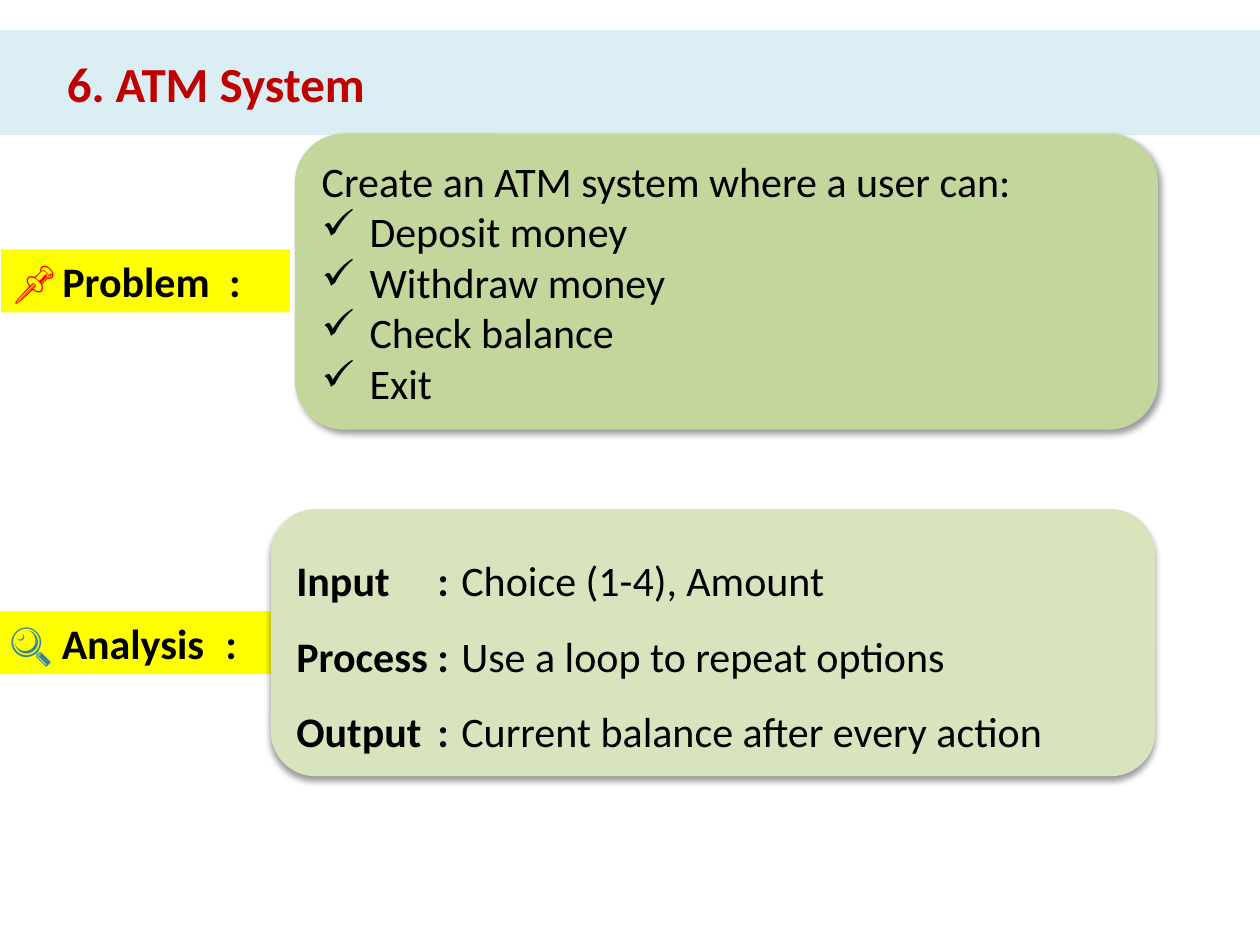
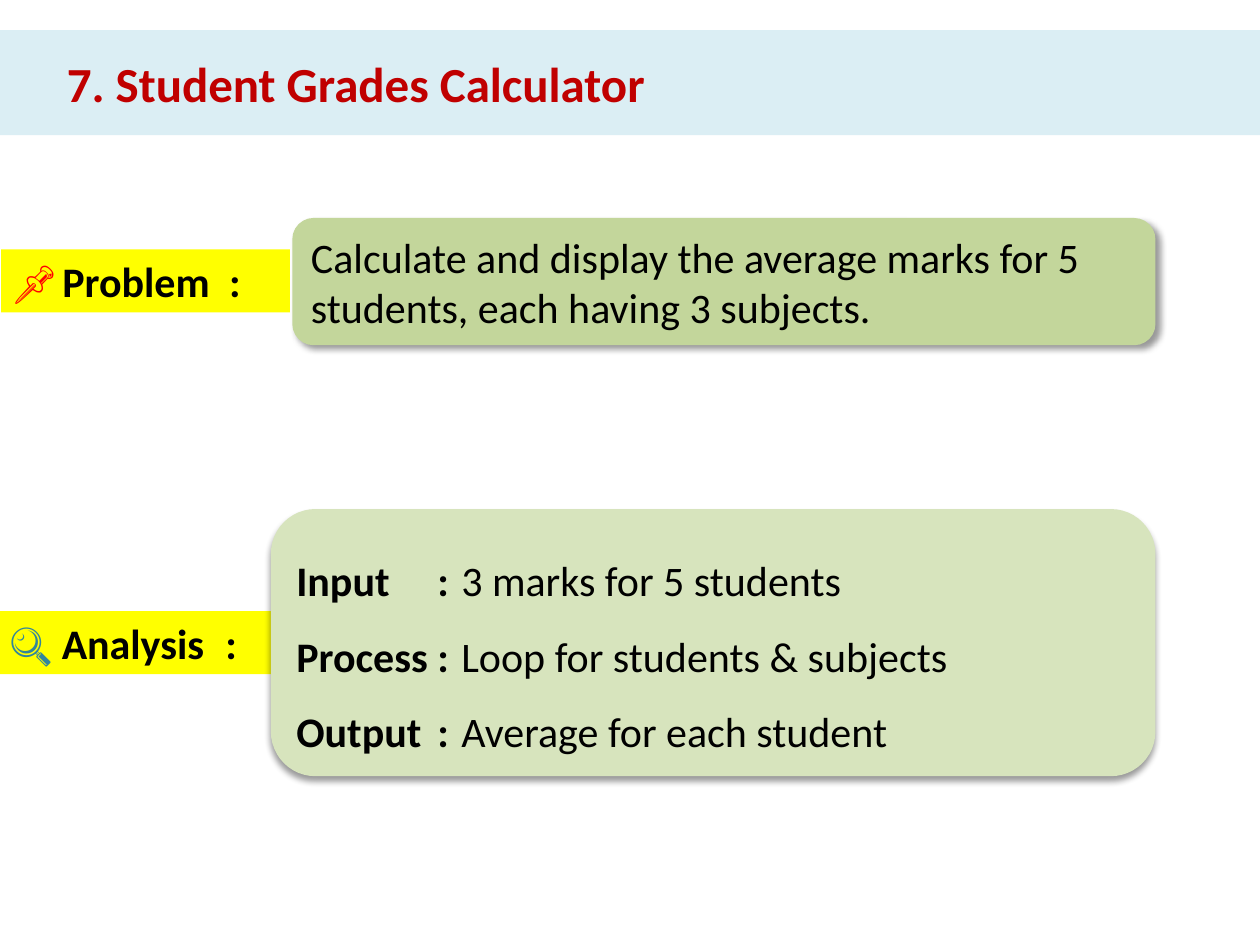
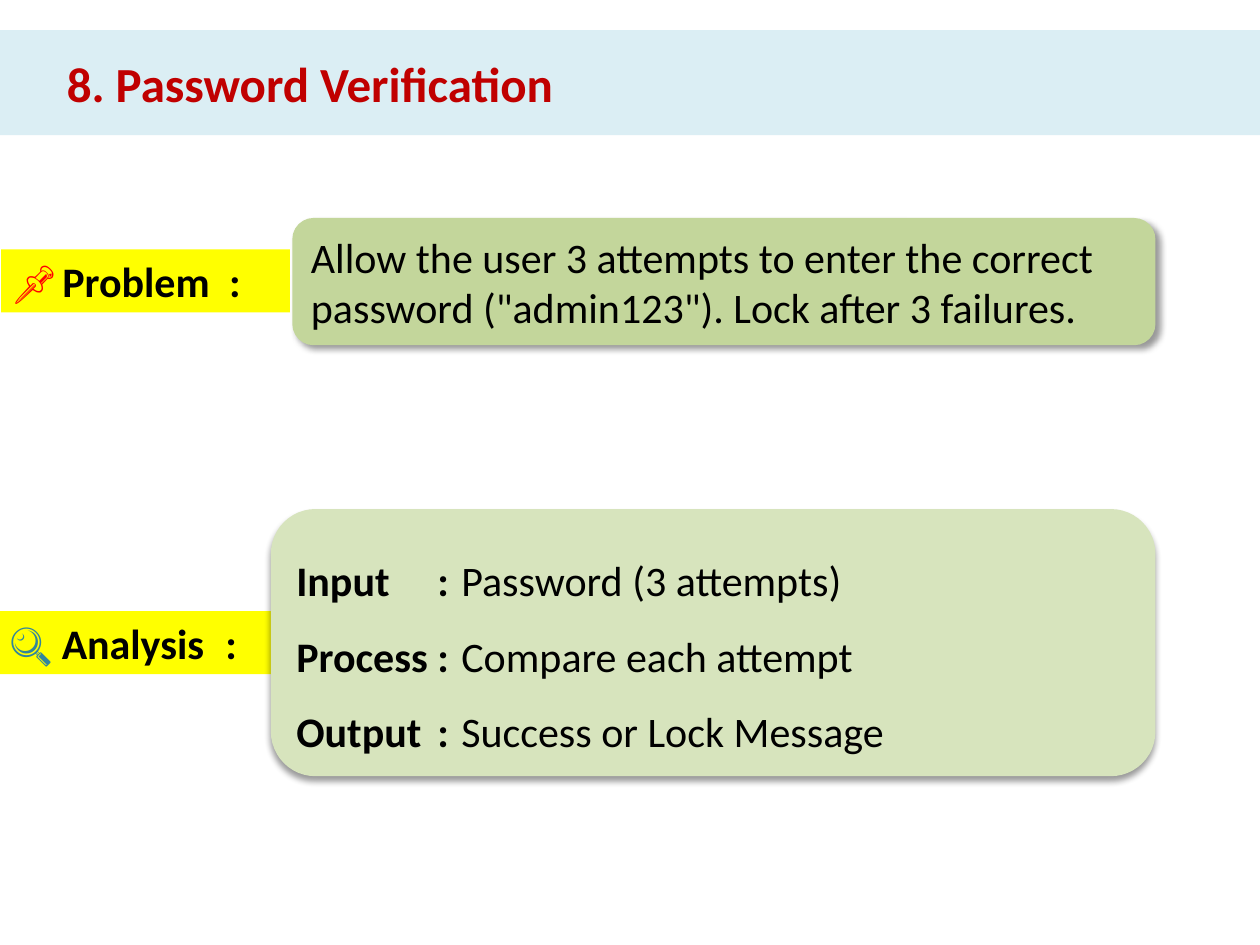
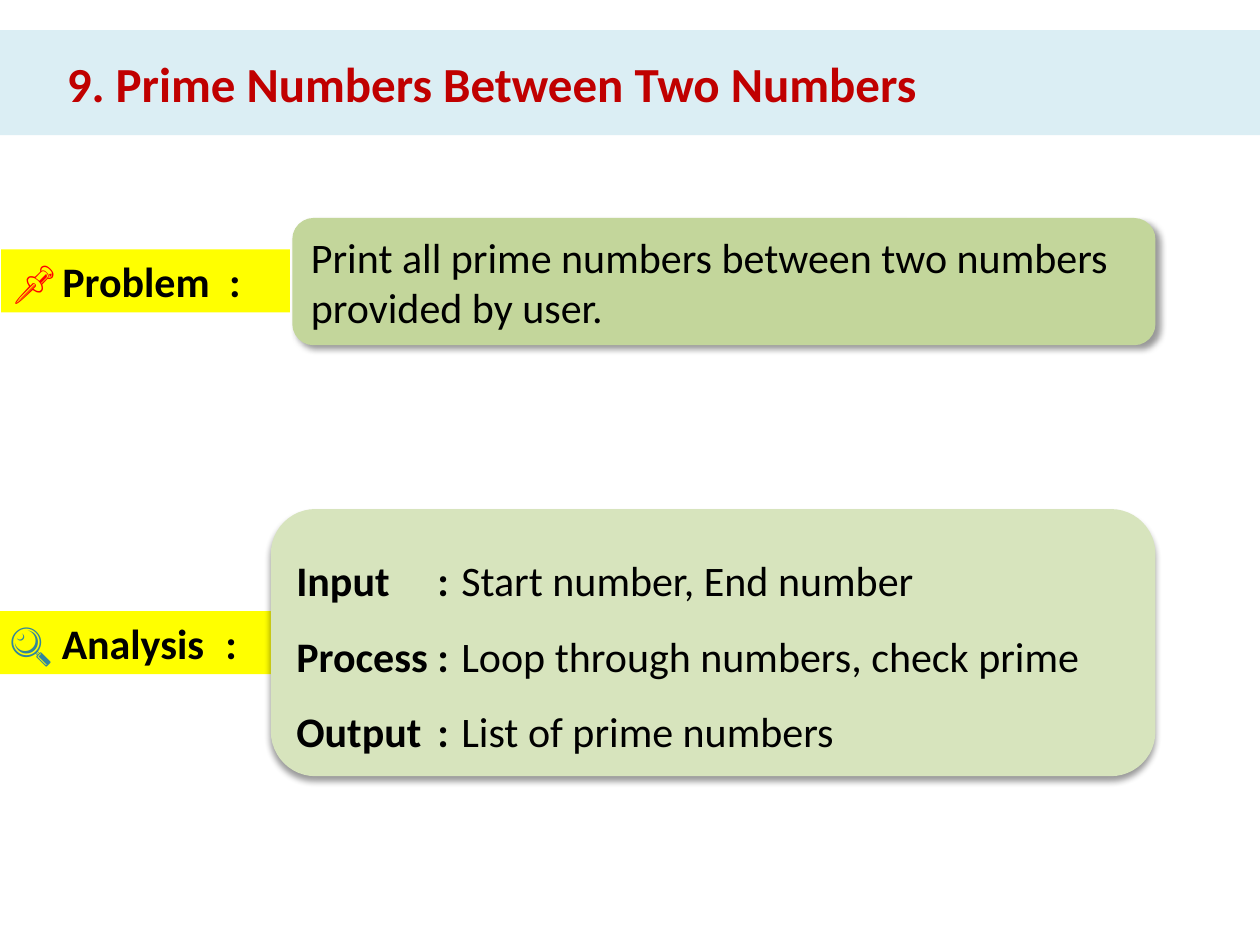
from dataclasses import dataclass

from lxml import etree
from pptx import Presentation
from pptx.dml.color import RGBColor
from pptx.enum.shapes import MSO_SHAPE
from pptx.enum.text import MSO_ANCHOR, MSO_AUTO_SIZE, PP_ALIGN
from pptx.oxml.ns import qn
from pptx.util import Inches, Pt

RECT = MSO_SHAPE.RECTANGLE
ROUND = MSO_SHAPE.ROUNDED_RECTANGLE
LEFT = PP_ALIGN.LEFT
MIDDLE = MSO_ANCHOR.MIDDLE
GROW = MSO_AUTO_SIZE.SHAPE_TO_FIT_TEXT

FONT = "Calibri"
TITLE_ONLY = 5
COLORS = {
    "band": "DBEEF4",
    "title": "C00000",
    "tag": "FFFF00",
    "pin": "FF0000",
    "lens": "31859C",
    "task": "C3D69B",
    "study": "D7E4BD",
    "text": "000000",
}


@dataclass(frozen=True)
class Box:
    left: float
    top: float
    width: float
    height: float
    fill: str
    form: int = RECT
    angle: int | None = None  # shadow direction in degrees


@dataclass(frozen=True)
class Tag:
    box: Box
    icon: str
    color: str
    bold: bool
    gap: int  # size of the space after the icon
    name: str


@dataclass(frozen=True)
class Topic:
    title: str
    task: str
    steps: tuple[str, str, str]
    points: tuple[str, ...] = ()


BAND = Box(0, 0.37, 10, 0.57, "band")
TAGS = (
    Tag(Box(0.01, 1.98, 2.29, 0.5, "tag"), "📌", "pin", False, 18, "Problem"),
    Tag(Box(-0.02, 4.85, 2.21, 0.5, "tag"), "🔍", "lens", True, 24, "Analysis"),
)
TASK = Box(2.32, 1.73, 6.85, 1.01, "task", ROUND, 45)
LIST = Box(2.34, 1.06, 6.85, 2.35, "task", ROUND, 45)
STUDY = Box(2.15, 4.04, 7.02, 2.12, "study", ROUND, 90)
STEPS = ("Input", "Process", "Output")

TOPICS = (
    Topic(
        "6. ATM System",
        "Create an ATM system where a user can:",
        ("Choice (1-4), Amount", "Use a loop to repeat options",
         "Current balance after every action"),
        ("Deposit money", "Withdraw money", "Check balance", "Exit"),
    ),
    Topic(
        "7. Student Grades Calculator",
        "Calculate and display the average marks for 5 students, "
        "each having 3 subjects.",
        ("3 marks for 5 students", "Loop for students & subjects",
         "Average for each student"),
    ),
    Topic(
        "8. Password Verification",
        "Allow the user 3 attempts to enter the correct password "
        '("admin123"). Lock after 3 failures.',
        ("Password (3 attempts)", "Compare each attempt",
         "Success or Lock Message"),
    ),
    Topic(
        "9. Prime Numbers Between Two Numbers",
        "Print all prime numbers between two numbers provided by user.",
        ("Start number, End number", "Loop through numbers, check prime",
         "List of prime numbers"),
    ),
)


def paint(shape, name: str) -> None:
    shape.fill.solid()
    shape.fill.fore_color.rgb = RGBColor.from_string(COLORS[name])


def style(run, color: str = "text", size: int = 24, bold: bool = False) -> None:
    font = run.font
    font.name, font.size, font.bold = FONT, Pt(size), bold
    font.color.rgb = RGBColor.from_string(COLORS[color])


def write(para, text: str, **look) -> None:
    """Append one styled run."""
    run = para.add_run()
    run.text = text
    style(run, **look)


def shade(shape, angle: int) -> None:
    """Cast a soft black shadow in the given direction."""
    effects = shape.element.spPr.find(qn("a:effectLst"))
    cast = etree.SubElement(
        effects, qn("a:outerShdw"), blurRad=str(Pt(4)), dist=str(Pt(3)),
        dir=str(angle * 60000), algn="t", rotWithShape="0")
    color = etree.SubElement(cast, qn("a:srgbClr"), val=COLORS["text"])
    etree.SubElement(color, qn("a:alpha"), val="40000")


def set_tabs(para, *stops: float) -> None:
    tabs = etree.SubElement(para._p.get_or_add_pPr(), qn("a:tabLst"))
    for stop in stops:
        etree.SubElement(tabs, qn("a:tab"), pos=str(Inches(stop)), algn="l")


def set_check(para) -> None:
    """Give the paragraph a hanging check mark."""
    props = para._p.get_or_add_pPr()
    props.set("marL", str(Inches(0.38)))
    props.set("indent", str(Inches(-0.38)))
    etree.SubElement(props, qn("a:buChar"), char="✓")


def add_box(slide, box: Box):
    """Draw the box and return its text frame."""
    shape = slide.shapes.add_shape(
        box.form, Inches(box.left), Inches(box.top),
        Inches(box.width), Inches(box.height))
    paint(shape, box.fill)
    shape.line.fill.background()
    shape.shadow.inherit = False
    if box.angle is not None:
        shade(shape, box.angle)
    frame = shape.text_frame
    frame.word_wrap = True
    frame.auto_size = GROW
    frame.vertical_anchor = MIDDLE
    frame.paragraphs[0].alignment = LEFT
    return frame


def add_title(slide, text: str) -> None:
    title = slide.shapes.title
    title.left, title.top = Inches(BAND.left), Inches(BAND.top)
    title.width, title.height = Inches(BAND.width), Inches(BAND.height)
    paint(title, BAND.fill)
    frame = title.text_frame
    frame.text = text
    frame.margin_left = Inches(0.53)
    frame.auto_size = GROW
    frame.vertical_anchor = MIDDLE
    para = frame.paragraphs[0]
    para.alignment = LEFT
    style(para.runs[0], "title", 28, True)


def add_tag(slide, tag: Tag) -> None:
    para = add_box(slide, tag.box).paragraphs[0]
    set_tabs(para, 1.71)
    write(para, tag.icon, color=tag.color, bold=tag.bold)
    write(para, " ", size=tag.gap)
    write(para, f"{tag.name}\t:", bold=True)


def add_task(slide, topic: Topic) -> None:
    frame = add_box(slide, LIST if topic.points else TASK)
    write(frame.paragraphs[0], topic.task)
    for point in topic.points:
        para = frame.add_paragraph()
        para.alignment = LEFT
        set_check(para)
        write(para, point)


def add_study(slide, topic: Topic) -> None:
    frame = add_box(slide, STUDY)
    for i, (step, text) in enumerate(zip(STEPS, topic.steps)):
        para = frame.add_paragraph() if i else frame.paragraphs[0]
        para.alignment = LEFT
        para.line_spacing = 1.5
        set_tabs(para, 1.12, 1.31)
        write(para, f"{step}\t:\t", bold=True)
        write(para, text)


def main() -> None:
    deck = Presentation()
    deck.slide_width, deck.slide_height = Inches(10), Inches(7.5)
    problem, analysis = TAGS
    for topic in TOPICS:
        slide = deck.slides.add_slide(deck.slide_layouts[TITLE_ONLY])
        add_title(slide, topic.title)
        add_tag(slide, problem)
        add_task(slide, topic)
        add_tag(slide, analysis)
        add_study(slide, topic)
    deck.save("out.pptx")


if __name__ == "__main__":
    main()
